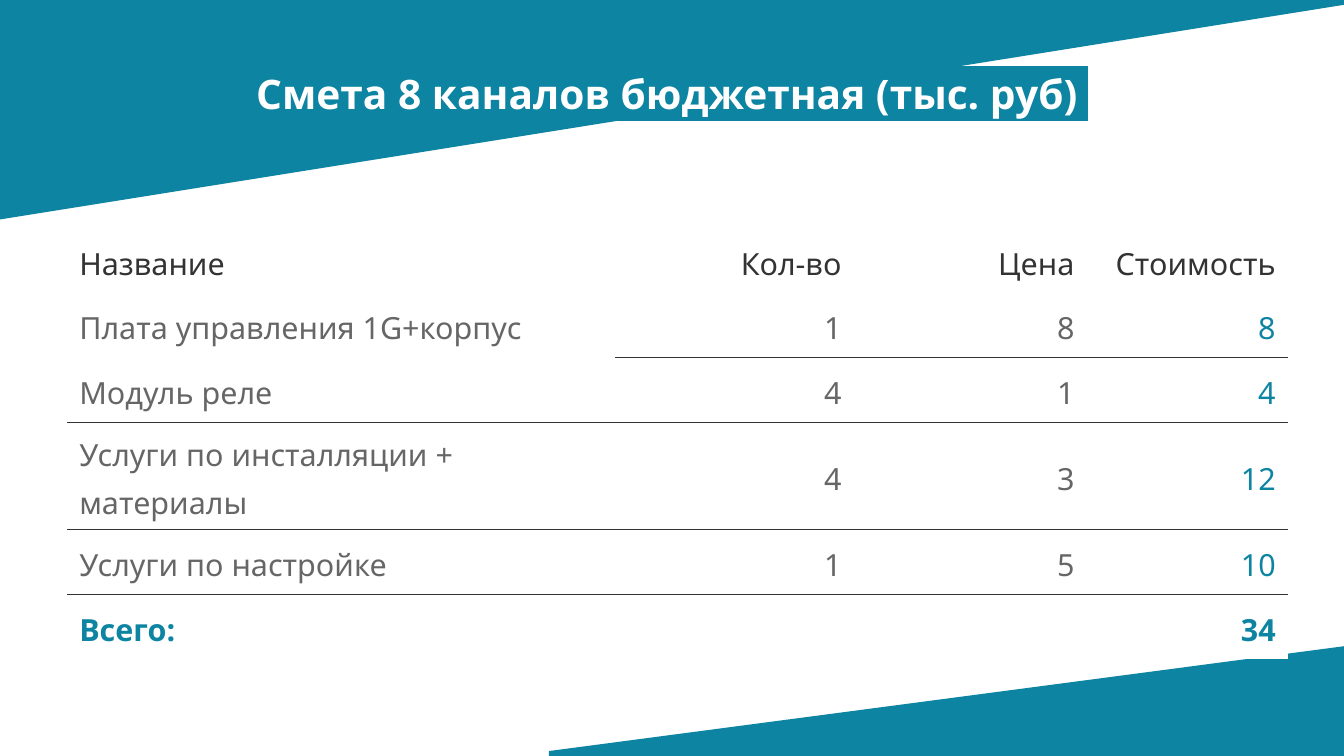
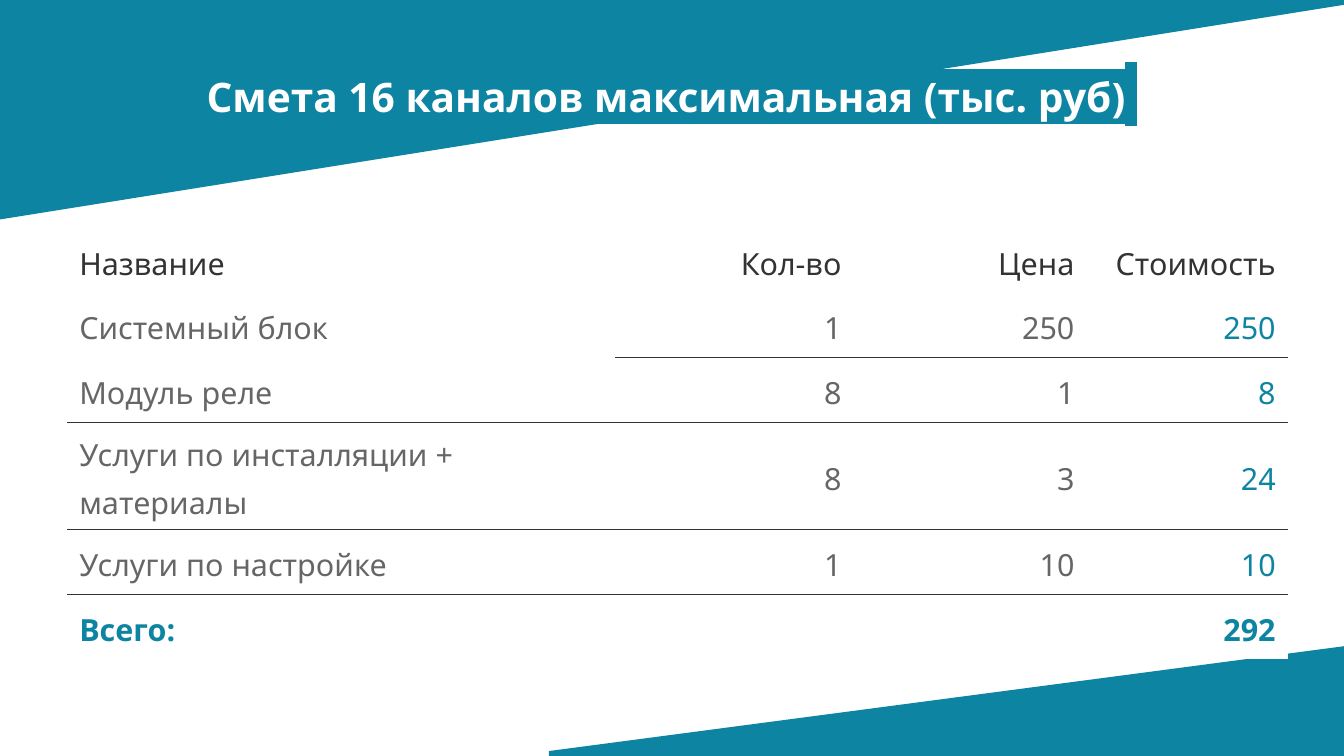
from dataclasses import dataclass

from lxml.etree import SubElement
from pptx import Presentation
from pptx.dml.color import RGBColor
from pptx.enum.shapes import PP_PLACEHOLDER as Placeholder
from pptx.enum.text import MSO_ANCHOR as Anchor, MSO_AUTO_SIZE as AutoSize, PP_ALIGN as Align
from pptx.oxml.ns import qn
from pptx.slide import Slide, SlideLayout
from pptx.table import _Cell as Cell
from pptx.text.text import Font
from pptx.util import Inches, Pt

FONT = "Noto Sans"
TEAL, WHITE, DARK, GREY = "0D84A1", "FFFFFF", "333333", "666666"
WIDTH, HEIGHT = 11.02, 6.2
NO_TABLE_STYLE = "{2D5ABB26-0587-4C30-8999-92F81FD0307C}"

HEADINGS = ("Название", "Кол-во", "Цена", "Стоимость")
COLUMN_WIDTHS = (4.49, 1.96, 1.91, 1.65)
ROW_HEIGHTS = (0.53, 0.53, 0.53, 0.88, 0.53, 0.53)
RELAY = "Модуль реле"
INSTALLATION = "Услуги по инсталляции + материалы"
SETUP = "Услуги по настройке"

BANDS = (
    ((4.5, HEIGHT), (WIDTH, HEIGHT), (WIDTH, 5.3), (4.5, 6.16)),
    ((0, 0), (WIDTH, 0), (WIDTH, 0.04), (0, 1.8)),
)


@dataclass(frozen=True)
class Item:
    name: str
    count: int
    price: int
    cost: int


@dataclass(frozen=True)
class Estimate:
    title: str
    title_tail_size: int
    items: tuple[Item, ...]
    total: int


ESTIMATES = (
    Estimate(
        "Смета 8 каналов бюджетная (тыс. руб)",
        24,
        (
            Item("Плата управления 1G+корпус", 1, 8, 8),
            Item(RELAY, 4, 1, 4),
            Item(INSTALLATION, 4, 3, 12),
            Item(SETUP, 1, 5, 10),
        ),
        34,
    ),
    Estimate(
        "Смета 16 каналов максимальная (тыс. руб)",
        28,
        (
            Item("Системный блок", 1, 250, 250),
            Item(RELAY, 8, 1, 8),
            Item(INSTALLATION, 8, 3, 24),
            Item(SETUP, 1, 10, 10),
        ),
        292,
    ),
)


def rgb(value: str) -> RGBColor:
    return RGBColor.from_string(value)


def style_font(font: Font, size: float, color: str, bold: bool = False) -> None:
    font.size = Pt(size)
    font.bold = bold
    font.color.rgb = rgb(color)
    font.name = FONT


def prepare_layout(layout: SlideLayout) -> None:
    for placeholder in list(layout.placeholders):
        if placeholder.placeholder_format.type != Placeholder.TITLE:
            placeholder.element.getparent().remove(placeholder.element)
            continue
        placeholder.left, placeholder.top = Inches(0.55), Inches(0.25)
        placeholder.width, placeholder.height = Inches(9.92), Inches(1.03)
        frame = placeholder.text_frame
        frame.margin_left = frame.margin_right = 0
        frame.margin_top = frame.margin_bottom = 0
        frame.vertical_anchor = Anchor.MIDDLE
        frame.auto_size = AutoSize.NONE
        frame.word_wrap = True


def move_bands_to_layout(slide: Slide, layout: SlideLayout) -> None:
    bands = []
    for corners in BANDS:
        points = [(Inches(x), Inches(y)) for x, y in corners]
        builder = slide.shapes.build_freeform(*points[0])
        builder.add_line_segments(points[1:], close=True)
        band = builder.convert_to_shape()
        band.shadow.inherit = False
        band.fill.solid()
        band.fill.fore_color.rgb = rgb(TEAL)
        band.line.fill.background()
        bands.append(band)
    for band in bands:
        layout.element.cSld.spTree.insert(2, band.element)


def write_title(slide: Slide, estimate: Estimate) -> None:
    paragraph = slide.shapes.title.text_frame.paragraphs[0]
    paragraph.text = estimate.title
    paragraph.alignment = Align.CENTER
    paragraph.add_run().text = " "
    for run, size in zip(paragraph.runs, (24, estimate.title_tail_size)):
        run.font.color.rgb = rgb(WHITE)
        highlight = SubElement(run._r.get_or_add_rPr(), qn("a:highlight"))
        SubElement(highlight, qn("a:srgbClr"), val=TEAL)
        style_font(run.font, size, WHITE, bold=True)


def has_rule_below(row: int, column: int) -> bool:
    return 2 <= row <= 4 or (row == 1 and column > 0)


def draw_rules(cell: Cell, row: int, column: int) -> None:
    properties = cell._tc.get_or_add_tcPr()
    for edge, upper_row in (("a:lnT", row - 1), ("a:lnB", row)):
        if has_rule_below(upper_row, column):
            rule = SubElement(properties, qn(edge), w=str(Pt(0.06)))
            fill = SubElement(rule, qn("a:solidFill"))
            SubElement(fill, qn("a:srgbClr"), val=DARK)


def text_color(row: int, column: int, last_row: int) -> str:
    if row == 0:
        return DARK
    return TEAL if row == last_row or column == len(HEADINGS) - 1 else GREY


def add_estimate_table(slide: Slide, estimate: Estimate) -> None:
    rows = [
        HEADINGS,
        *((item.name, item.count, item.price, item.cost) for item in estimate.items),
        ("Всего:", "", "", estimate.total),
    ]
    last_row = len(rows) - 1
    frame = slide.shapes.add_table(
        len(rows), len(HEADINGS), Inches(0.55), Inches(1.87),
        Inches(sum(COLUMN_WIDTHS)), Inches(sum(ROW_HEIGHTS)),
    )
    table = frame.table
    table.horz_banding = False
    table.first_row = False
    frame.element.find(f".//{qn('a:tableStyleId')}").text = NO_TABLE_STYLE
    for column, width in zip(table.columns, COLUMN_WIDTHS):
        column.width = Inches(width)
    for table_row, height in zip(table.rows, ROW_HEIGHTS):
        table_row.height = Inches(height)
    for row, values in enumerate(rows):
        for column, value in enumerate(values):
            cell = table.cell(row, column)
            draw_rules(cell, row, column)
            if (row, column) == (1, 0):
                cell.fill.background()
            else:
                cell.fill.solid()
                cell.fill.fore_color.rgb = rgb(WHITE)
            cell.vertical_anchor = Anchor.MIDDLE
            paragraph = cell.text_frame.paragraphs[0]
            paragraph.text = str(value)
            paragraph.line_spacing = 1.15
            paragraph.alignment = Align.RIGHT if column else Align.LEFT
            color = text_color(row, column, last_row)
            for run in paragraph.runs:
                style_font(run.font, 18, color, bold=row == last_row)


def main() -> None:
    presentation = Presentation()
    presentation.slide_width = Inches(WIDTH)
    presentation.slide_height = Inches(HEIGHT)
    layout = presentation.slide_layouts.get_by_name("Title Only")
    prepare_layout(layout)
    slides = [presentation.slides.add_slide(layout) for _ in ESTIMATES]
    move_bands_to_layout(slides[0], layout)
    for slide, estimate in zip(slides, ESTIMATES):
        add_estimate_table(slide, estimate)
        write_title(slide, estimate)
    presentation.save("out.pptx")


if __name__ == "__main__":
    main()
